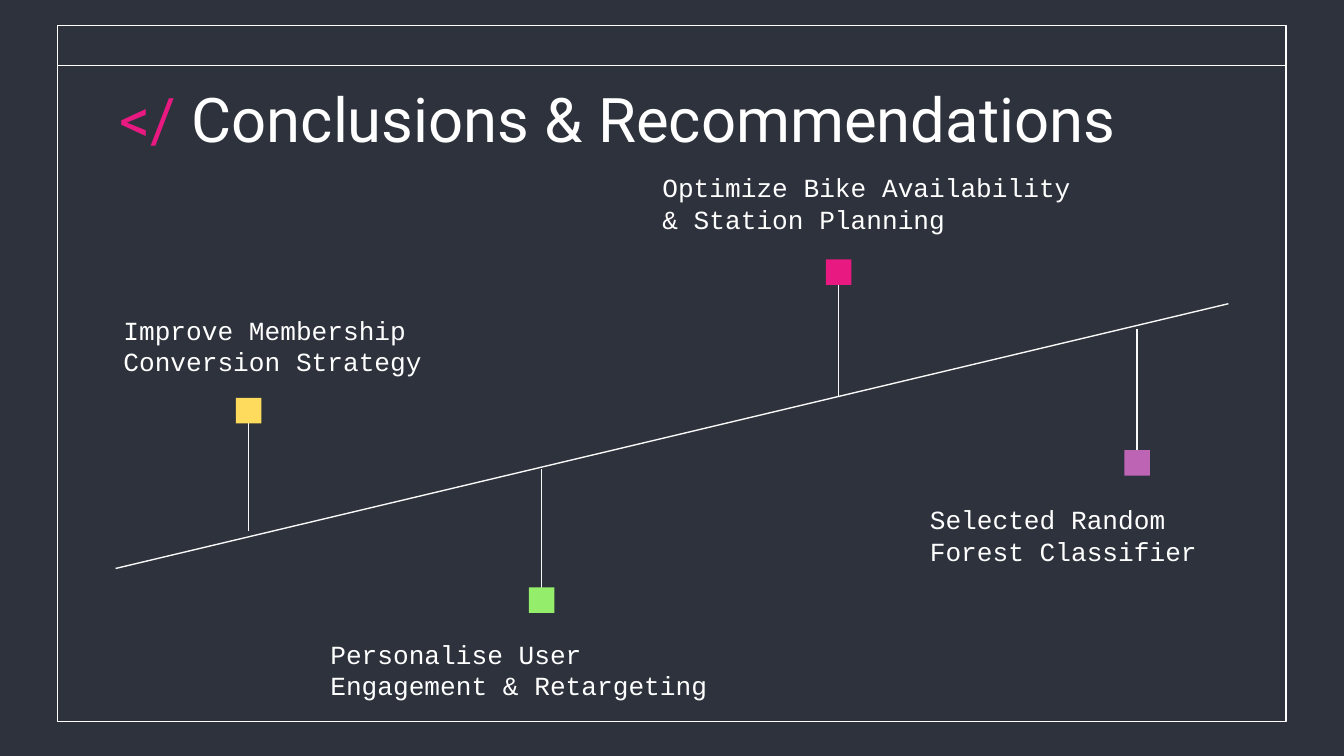
from lxml import etree
from pptx import Presentation
from pptx import util as u
from pptx.dml.color import RGBColor
from pptx.enum import shapes, text
from pptx.oxml.ns import qn

BACKGROUND, WHITE, LINE, PINK = "2D323C", "FFFFFF", "F9F9F9", "E81981"
TITLE_FONT = {"name": "Roboto", "size": u.Pt(33), "bold": False}
LABEL_FONT = {"name": "Courier New", "size": u.Pt(14)}
MARKER_SIZE = 0.19

# Stem x, stem start y, stem end y, marker top, marker colour, label, label box
MILESTONES = [
    (1.85, 3.95, 2.99, 2.96, "FFDB5D",
     "Improve Membership Conversion Strategy", (0.82, 2.29, 2.56, 0.57)),
    (4.03, 3.49, 4.46, 4.37, "94EE6B",
     "Personalise User Engagement & Retargeting", (2.36, 4.7, 3.03, 0.57)),
    (6.24, 2.95, 1.98, 1.93, PINK,
     "Optimize Bike Availability & Station Planning", (4.83, 1.23, 3.29, 0.57)),
    (8.46, 2.45, 3.47, 3.35, "BD64B5",
     "Selected Random Forest Classifier", (6.82, 3.7, 2.65, 0.57)),
]


def color(value):
    return RGBColor.from_string(value)


def inches(values):
    return [u.Inches(value) for value in values]


def apply(target, values):
    for name, value in values.items():
        setattr(target, name, value)


class SlideBuilder:
    def __init__(self, slide):
        self.slide = slide
        slide.background.fill.solid()
        slide.background.fill.fore_color.rgb = color(BACKGROUND)

    def rectangle(self, box, fill, line=None):
        shape = self.slide.shapes.add_shape(
            shapes.MSO_SHAPE.RECTANGLE, *inches(box))
        shape.shadow.inherit = False
        shape.fill.solid()
        shape.fill.fore_color.rgb = color(fill)
        if line:
            shape.line.color.rgb = color(line)
            shape.line.width = u.Pt(0.75)
        else:
            shape.line.fill.background()

    def line(self, *ends):
        connector = self.slide.shapes.add_connector(
            shapes.MSO_CONNECTOR.STRAIGHT, *inches(ends))
        connector.line.color.rgb = color(LINE)
        connector.line.width = u.Pt(0.75)
        etree.SubElement(connector.element.spPr, qn("a:effectLst"))

    def run(self, paragraph, words, font, fill):
        run = paragraph.add_run()
        run.text = words
        apply(run.font, font)
        run.font.color.rgb = color(fill)

    def title(self, box, parts):
        title = self.slide.shapes.title
        apply(title, dict(zip(("left", "top", "width", "height"), inches(box))))
        # Bring the title in front of the frame
        title.element.getparent().append(title.element)
        margins = ("margin_left", "margin_top", "margin_right", "margin_bottom")
        apply(title.text_frame, dict.fromkeys(margins, u.Inches(0.1)))
        apply(title.text_frame, {"word_wrap": True,
                                 "auto_size": text.MSO_AUTO_SIZE.NONE,
                                 "vertical_anchor": text.MSO_ANCHOR.TOP})
        paragraph = title.text_frame.paragraphs[0]
        apply(paragraph, {"alignment": text.PP_ALIGN.LEFT, "line_spacing": 1.0,
                          "space_before": u.Pt(0)})
        for words, fill in parts:
            self.run(paragraph, words, TITLE_FONT, fill)

    def label(self, box, words):
        frame = self.slide.shapes.add_textbox(*inches(box)).text_frame
        apply(frame, {"word_wrap": True,
                      "auto_size": text.MSO_AUTO_SIZE.SHAPE_TO_FIT_TEXT})
        self.run(frame.paragraphs[0], words, LABEL_FONT, WHITE)


def main():
    presentation = Presentation()
    # Widescreen, 16 to 9
    presentation.slide_width = u.Inches(10)
    presentation.slide_height = u.Inches(10 * 9 / 16)
    builder = SlideBuilder(
        presentation.slides.add_slide(presentation.slide_layouts[5]))

    # Window frame and its top bar
    for height in (5.18, 0.3):
        builder.rectangle((0.43, 0.19, 9.14, height), BACKGROUND, WHITE)

    builder.title((0.79, 0.5, 9.21, 0.63),
                  [("</ ", PINK), ("Conclusions & Recommendations", WHITE)])

    # Rising timeline with its milestones
    builder.line(9.14, 2.26, 0.86, 4.23)
    for x, start, end, top, fill, words, box in MILESTONES:
        builder.line(x, start, x, end)
        builder.rectangle((x - MARKER_SIZE / 2, top, MARKER_SIZE, MARKER_SIZE), fill)
        builder.label(box, words)

    presentation.save("out.pptx")


if __name__ == "__main__":
    main()
